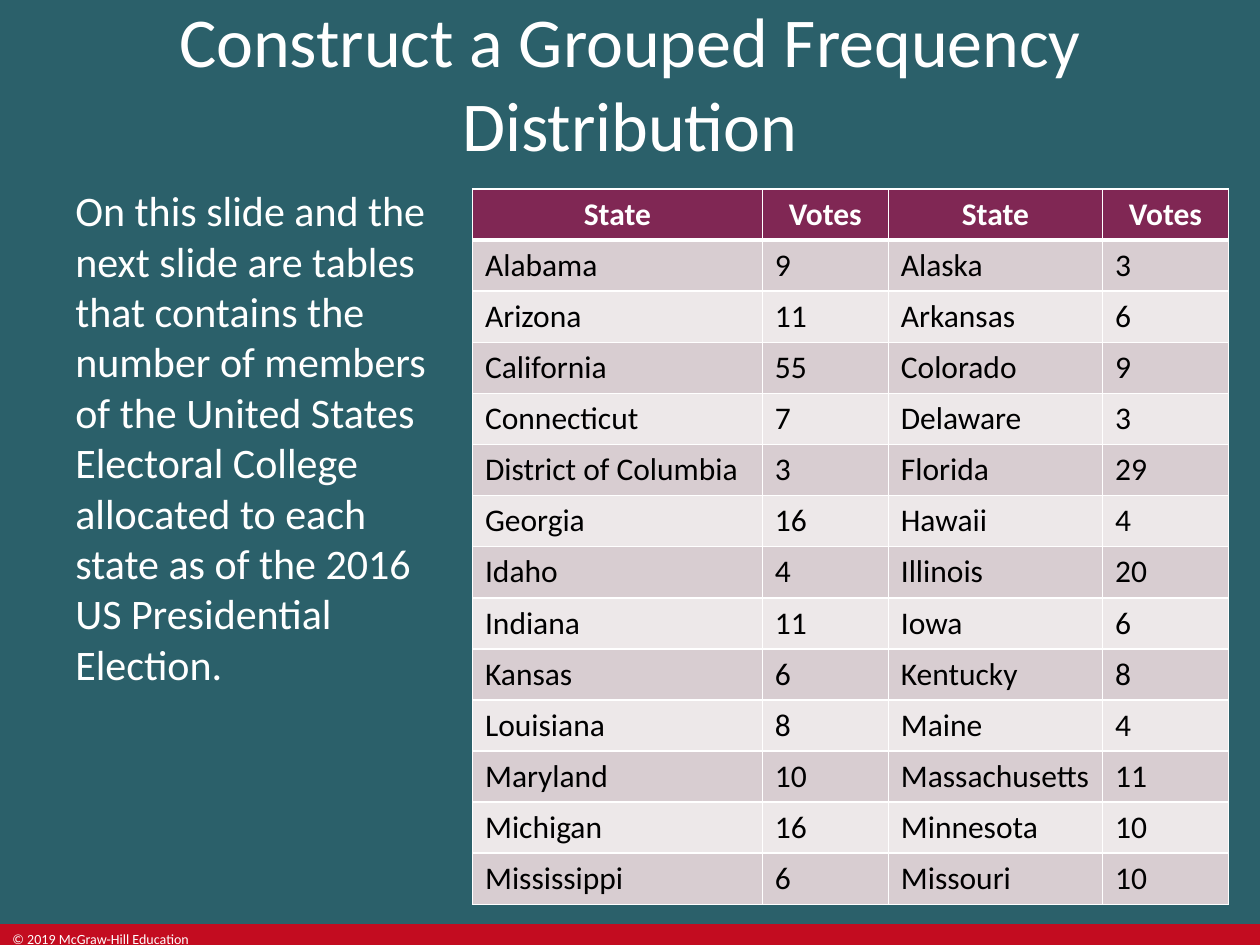
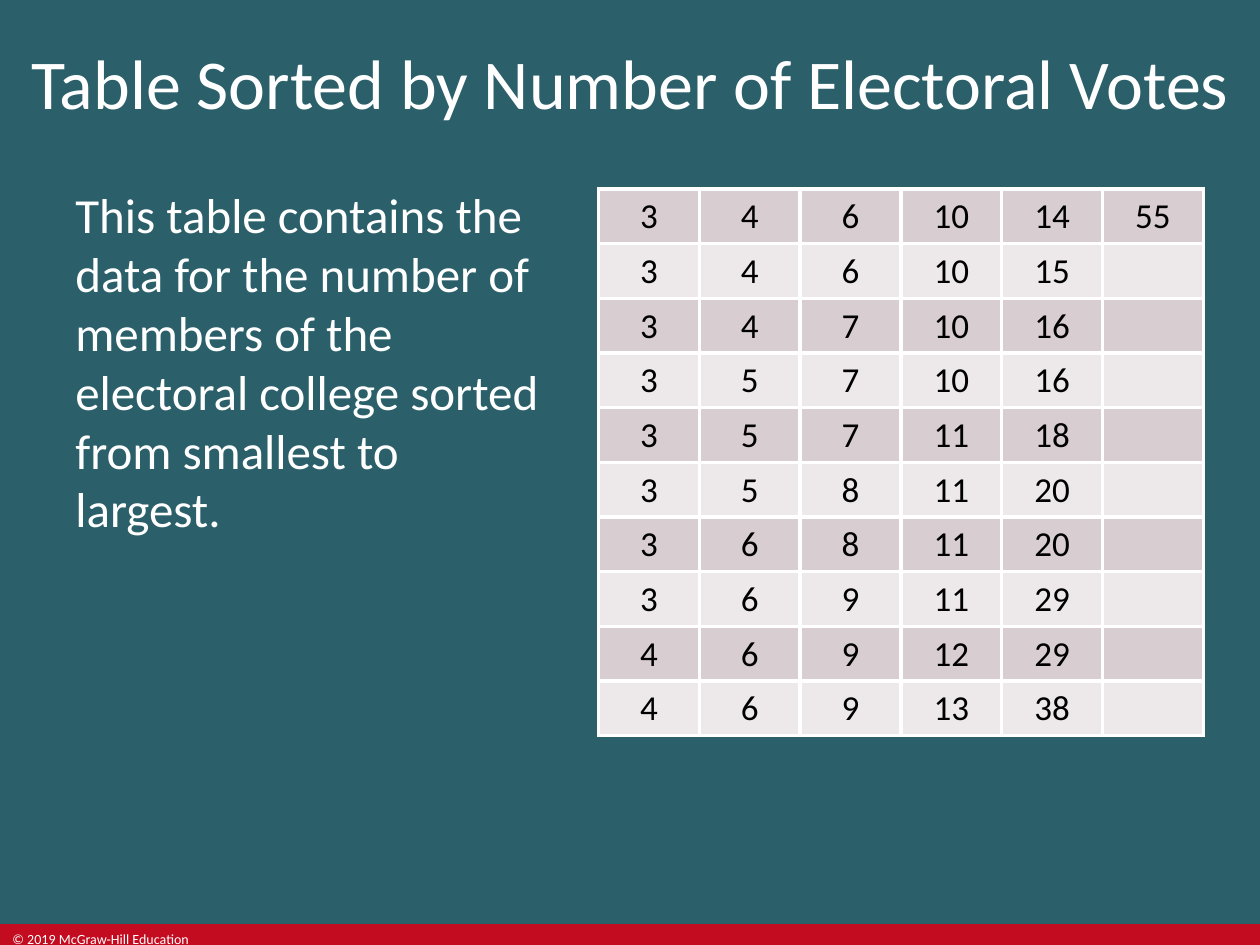
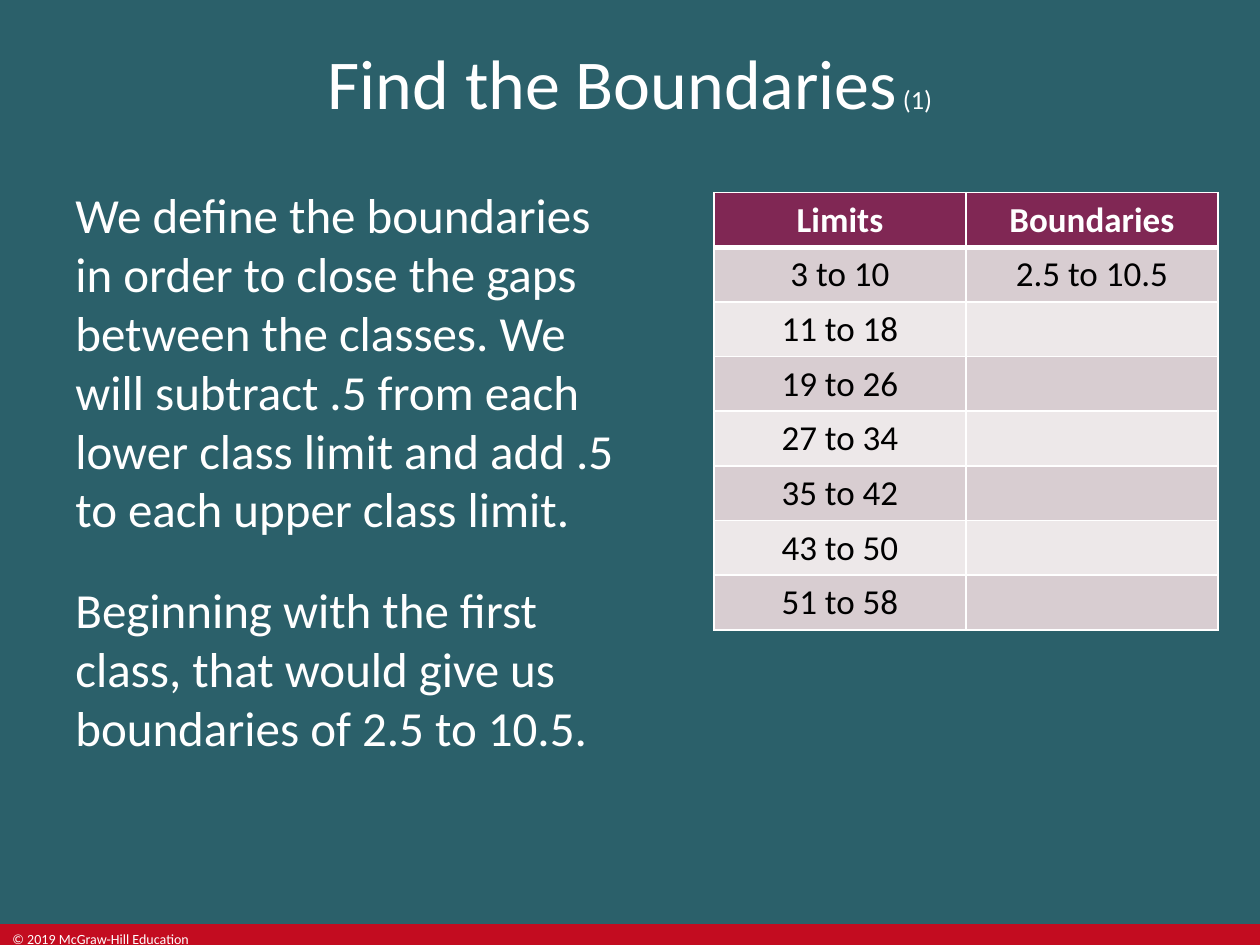
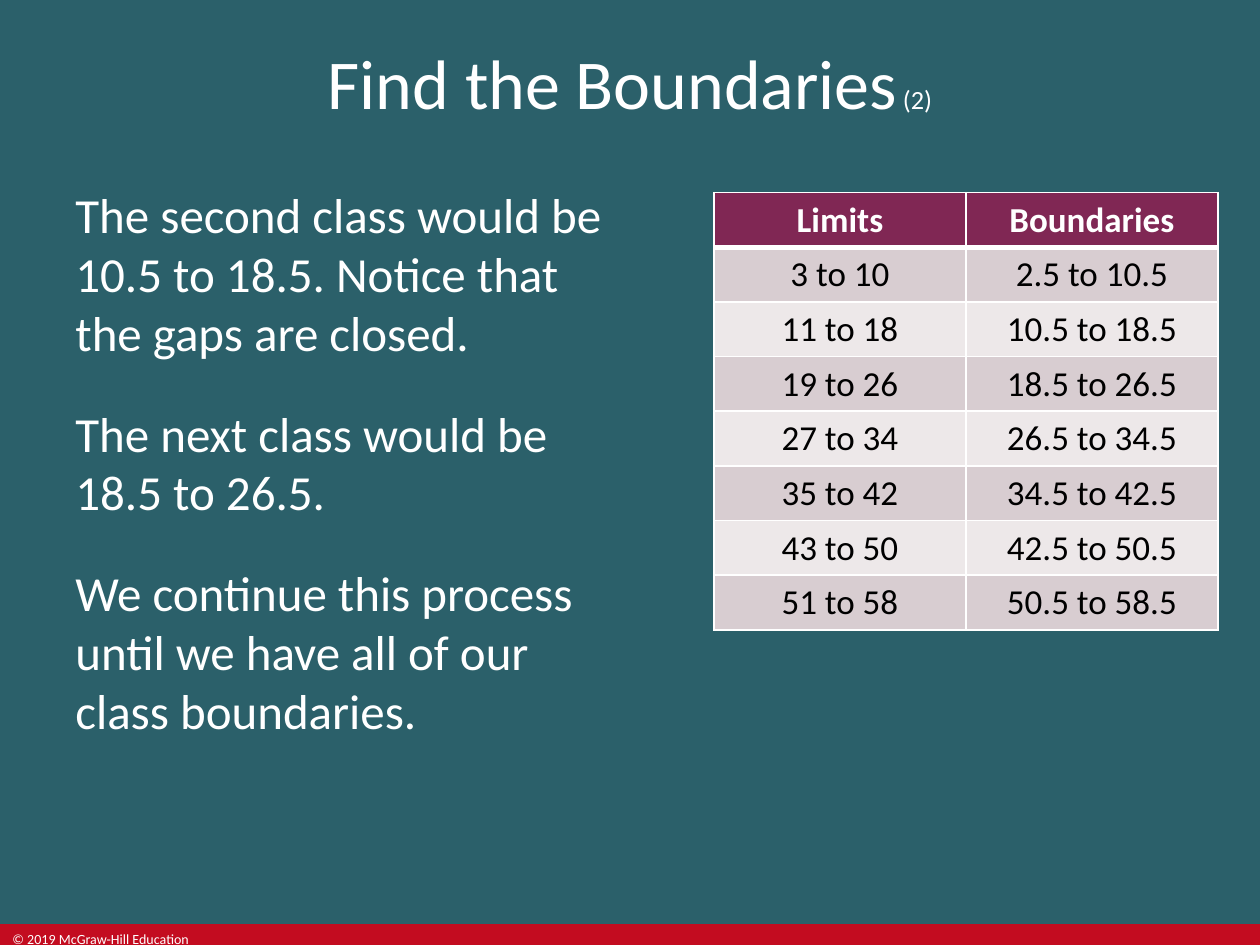
import dataclasses
import itertools
import pptx
import pptx.dml.color
import pptx.enum.shapes
import pptx.enum.text
import pptx.util
import lxml.etree

Pt = pptx.util.Pt
RGB = pptx.dml.color.RGBColor.from_string
ALIGN = pptx.enum.text.PP_ALIGN
ANCHOR = pptx.enum.text.MSO_ANCHOR
NS = "http://schemas.openxmlformats.org/drawingml/2006/main"


@dataclasses.dataclass(frozen=True)
class Theme:
    font: str = "Calibri"
    back: str = "2B606A"
    band: str = "C30C20"
    head: str = "802754"
    odd: str = "D8CDD1"
    even: str = "EDE8E9"
    light: str = "FFFFFF"
    dark: str = "000000"
    title: int = 40
    count: int = 15
    foot: int = 8


theme = Theme()


def add_run(para, text, size, color=theme.light, bold=False):
    run = para.add_run()
    run.text = text
    run.font.name = theme.font
    run.font.size = Pt(size)
    run.font.bold = bold
    run.font.color.rgb = RGB(color)


def add_box(slide, left, top, width, height, paras, align=ALIGN.LEFT,
            anchor=ANCHOR.TOP, before=0, after=0):
    frame = slide.shapes.add_textbox(Pt(left), Pt(top), Pt(width), Pt(height)).text_frame
    frame.word_wrap = True
    frame.vertical_anchor = anchor
    for i, runs in enumerate(paras):
        para = frame.add_paragraph() if i else frame.paragraphs[0]
        para.alignment = align
        para.space_before = Pt(before if i else 0)
        para.space_after = Pt(after)
        for text, size in runs:
            add_run(para, text, size)


states = [
    ("State", "Votes", "State", "Votes"),
    ("Alabama", 9, "Alaska", 3),
    ("Arizona", 11, "Arkansas", 6),
    ("California", 55, "Colorado", 9),
    ("Connecticut", 7, "Delaware", 3),
    ("District of Columbia", 3, "Florida", 29),
    ("Georgia", 16, "Hawaii", 4),
    ("Idaho", 4, "Illinois", 20),
    ("Indiana", 11, "Iowa", 6),
    ("Kansas", 6, "Kentucky", 8),
    ("Louisiana", 8, "Maine", 4),
    ("Maryland", 10, "Massachusetts", 11),
    ("Michigan", 16, "Minnesota", 10),
    ("Mississippi", 6, "Missouri", 10),
]

counts = [
    (3, 3, 3, 3, 3, 3, 3, 3, 4, 4),
    (4, 4, 4, 5, 5, 5, 6, 6, 6, 6),
    (6, 6, 7, 7, 7, 8, 8, 9, 9, 9),
    (10, 10, 10, 10, 11, 11, 11, 11, 12, 13),
    (14, 15, 16, 16, 18, 20, 20, 29, 29, 38),
    (55,),
]
votes = list(itertools.zip_longest(*counts, fillvalue=""))

lows = range(3, 52, 8)
full = [("Limits", "Boundaries")] + [
    (f"{low} to {low + 7}", f"{low - 0.5} to {low + 7.5}") for low in lows]
start = full[:2] + [(limit, "") for limit, bound in full[2:]]

pages = [
    dict(title="Construct a Grouped Frequency Distribution", count="",
         body=["On this slide and the next slide are tables that contains the number of "
               "members of the United States Electoral College allocated to each state as "
               "of the 2016 US Presidential Election."],
         area=(216, 372), size=24, after=6,
         rows=states, cols=(165.6, 72, 122.4, 72), spot=(270, 108),
         text=18, line=1, head=True, align=ALIGN.LEFT),
    dict(title="Table Sorted by Number of Electoral Votes", count="",
         body=["This table contains the data for the number of members of the electoral "
               "college sorted from smallest to largest."],
         area=(282, 408), size=28, after=6,
         rows=votes, cols=(57.6,) * 6, spot=(342, 108),
         text=20, line=2.25, head=False, align=ALIGN.CENTER),
    dict(title="Find the Boundaries", count=" (1)",
         body=["We define the boundaries in order to close the gaps between the classes. "
               "We will subtract .5 from each lower class limit and add .5 to each upper "
               "class limit.",
               "Beginning with the first class, that would give us boundaries of 2.5 to 10.5."],
         area=(331, 414), size=28, after=12,
         rows=start, cols=(144, 144), spot=(408, 110),
         text=20, line=1, head=True, align=ALIGN.CENTER),
    dict(title="Find the Boundaries", count=" (2)",
         body=["The second class would be 10.5 to 18.5. Notice that the gaps are closed.",
               "The next class would be 18.5 to 26.5.",
               "We continue this process until we have all of our class boundaries."],
         area=(331, 414), size=28, after=12,
         rows=full, cols=(144, 144), spot=(408, 110),
         text=20, line=1, head=True, align=ALIGN.CENTER),
]

deck = pptx.Presentation()
deck.slide_width, deck.slide_height = Pt(720), Pt(540)
fill = deck.slide_master.background.fill
fill.solid()
fill.fore_color.rgb = RGB(theme.back)
tall = 29.2

for page in pages:
    slide = deck.slides.add_slide(deck.slide_layouts[6])

    band = slide.shapes.add_shape(
        pptx.enum.shapes.MSO_SHAPE.RECTANGLE, Pt(0), Pt(528), Pt(720), Pt(12))
    band.shadow.inherit = False
    band.fill.solid()
    band.fill.fore_color.rgb = RGB(theme.band)
    band.line.fill.background()
    add_box(slide, 0, 528, 122.4, 12, [[("© 2019 McGraw-Hill Education", theme.foot)]])

    title = [(page["title"], theme.title)]
    if page["count"]:
        title.append((page["count"], theme.count))
    add_box(slide, 0, 0, 720, 93.6, [title], ALIGN.CENTER, ANCHOR.MIDDLE)
    add_box(slide, 36, 102, *page["area"], [[(text, page["size"])] for text in page["body"]],
            before=12, after=page["after"])

    rows, cols = page["rows"], page["cols"]
    left, top = page["spot"]
    table = slide.shapes.add_table(
        len(rows), len(cols), Pt(left), Pt(top), Pt(sum(cols)), Pt(tall * len(rows))).table
    table.first_row = page["head"]
    table.horz_banding = False
    for col, width in zip(table.columns, cols):
        col.width = Pt(width)
    for r, row in enumerate(rows):
        table.rows[r].height = Pt(tall)
        head = page["head"] and r == 0
        shade = theme.odd if (r + page["head"]) % 2 == 0 else theme.even
        for c, value in enumerate(row):
            cell = table.cell(r, c)
            props = cell._tc.get_or_add_tcPr()
            for side in "LRTB":
                thick = head and side == "B" or page["head"] and r == 1 and side == "T"
                edge = lxml.etree.SubElement(
                    props, f"{{{NS}}}ln{side}", w=str(Pt(3 if thick else page["line"])))
                solid = lxml.etree.SubElement(edge, f"{{{NS}}}solidFill")
                lxml.etree.SubElement(solid, f"{{{NS}}}srgbClr", val=theme.light)
            cell.fill.solid()
            cell.fill.fore_color.rgb = RGB(theme.head if head else shade)
            para = cell.text_frame.paragraphs[0]
            para.alignment = ALIGN.CENTER if head else page["align"]
            if value != "":
                add_run(para, str(value), page["text"],
                        theme.light if head else theme.dark, head)

deck.save("out.pptx")
